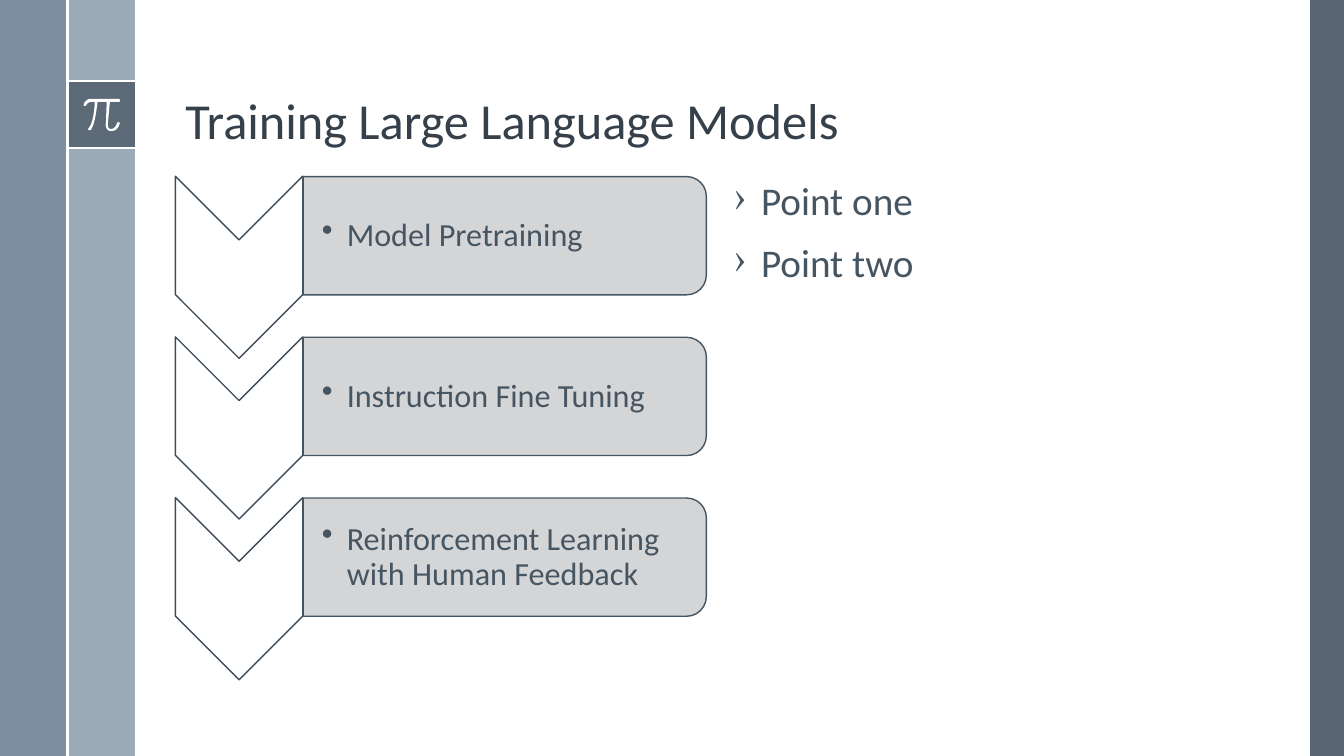
"""Build the slide on the three stages of training large language models."""
import pptx
import pptx.dml.color
import pptx.enum.shapes
import pptx.enum.text
import pptx.oxml
import pptx.oxml.ns
import pptx.util

Cm, Pt, qn = pptx.util.Cm, pptx.util.Pt, pptx.oxml.ns.qn
SHAPE = pptx.enum.shapes.MSO_SHAPE
ANCHOR = pptx.enum.text.MSO_ANCHOR
SLATE, INK, WHITE = "475562", "465562", "FFFFFF"


def paint(fill, colour, opacity=100):
    fill.solid()
    fill.fore_color.rgb = pptx.dml.color.RGBColor.from_string(colour)
    if opacity < 100:
        alpha = pptx.oxml.parse_xml(
            '<a:alpha xmlns:a="http://schemas.openxmlformats.org/drawingml/2006/main" '
            f'val="{opacity * 1000}"/>')
        fill._xPr.find(qn("a:solidFill"))[0].append(alpha)


def write(frame, lines, size, colour, anchor=ANCHOR.TOP, bullet=None, indent=0,
          before=0, margins=(0.25, 0.13, 0.25, 0.13)):
    frame.word_wrap = True
    frame.auto_size = pptx.enum.text.MSO_AUTO_SIZE.NONE
    frame.vertical_anchor = anchor
    (frame.margin_left, frame.margin_top,
     frame.margin_right, frame.margin_bottom) = map(Cm, margins)
    for number, line in enumerate(lines):
        paragraph = frame.add_paragraph() if number else frame.paragraphs[0]
        paragraph.alignment = pptx.enum.text.PP_ALIGN.LEFT
        paragraph.line_spacing = 0.9
        paragraph.space_before = Pt(before)
        run = paragraph.add_run()
        run.text = line
        run.font.name = "Calibri"
        run.font.size = Pt(size)
        paint(run.font.fill, colour)
        if bullet:
            properties = paragraph._p.get_or_add_pPr()
            properties.set("marL", str(Cm(indent)))
            properties.set("indent", str(-Cm(indent)))
            mark = properties.makeelement(qn("a:buChar"), {"char": bullet})
            properties.append(mark)


deck = pptx.Presentation()
deck.slide_width, deck.slide_height = Cm(33.87), Cm(19.05)
slide = deck.slides.add_slide(deck.slide_layouts[5])
shapes = slide.shapes

# name: preset, left, top, width, height, fill, opacity, outline, rotation
pieces = [
    (SHAPE.RECTANGLE, 33.02, 0, 0.85, 19.05, SLATE, 90, None, 0),
    (SHAPE.RECTANGLE, 1.7, 0, 1.7, 19.05, "9BAAB7", 100, None, 0),
    (SHAPE.RECTANGLE, 0, 0, 1.7, 19.05, "6A8093", 88, None, 0),
    (SHAPE.RECTANGLE, 1.7, 2.05, 1.7, 1.7, SLATE, 75, None, 0),
]
stages = ["Model Pretraining", "Instruction Fine Tuning",
          "Reinforcement Learning with Human Feedback"]
pitch = 4.05
for row in range(len(stages)):
    drop = row * pitch
    pieces += [
        (SHAPE.CHEVRON, 3.73, 5.13 + drop, 4.59, 3.21, WHITE, 100, "404D59", 90),
        (SHAPE.ROUND_2_SAME_RECTANGLE, 11.23, 0.86 + drop, 2.98, 10.16,
         "CFD1D3", 90, INK, 90),
    ]

for preset, left, top, width, height, colour, opacity, outline, turn in pieces:
    piece = shapes.add_shape(preset, Cm(left), Cm(top), Cm(width), Cm(height))
    piece.shadow.inherit = False
    piece.rotation = turn
    paint(piece.fill, colour, opacity)
    if outline:
        paint(piece.line.fill, outline)
        piece.line.width = Pt(1)
    else:
        piece.line.fill.background()

for x1, y1, x2, y2 in [(1.7, 2.05, 3.4, 2.05), (1.7, 3.74, 3.4, 3.74),
                       (1.7, 0, 1.7, 19.05)]:
    rule = shapes.add_connector(pptx.enum.shapes.MSO_CONNECTOR.STRAIGHT,
                                Cm(x1), Cm(y1), Cm(x2), Cm(y2))
    paint(rule.line.fill, WHITE)
    rule.line.width = Pt(1.5)
    properties = rule._element.spPr
    properties.append(properties.makeelement(qn("a:effectLst"), {}))

pi_start = (3, 2.49)
pi_curves = [
    [(2.29, 2.49)],
    [(2.16, 2.49), (2.11, 2.62), (2.11, 2.64)],
    [(2.11, 2.65), (2.11, 2.67), (2.13, 2.67)],
    [(2.16, 2.67)],
    [(2.16, 2.67), (2.21, 2.57), (2.29, 2.57)],
    [(2.39, 2.57)],
    [(2.39, 2.67), (2.36, 3.1), (2.24, 3.23)],
    [(2.21, 3.25), (2.21, 3.26), (2.24, 3.28)],
    [(2.29, 3.28)],
    [(2.41, 3.12), (2.44, 2.67), (2.46, 2.57)],
    [(2.69, 2.57)],
    [(2.67, 3.1)],
    [(2.67, 3.1), (2.64, 3.2), (2.72, 3.28)],
    [(2.74, 3.3), (2.77, 3.3), (2.84, 3.3)],
    [(2.97, 3.3), (3.02, 3.12), (3.02, 3.1)],
    [(3.02, 3.08), (2.96, 3.07), (2.95, 3.1)],
    [(2.95, 3.1), (2.92, 3.23), (2.82, 3.25)],
    [(2.79, 3.25), (2.77, 3.25), (2.74, 3.23)],
    [(2.72, 3.2), (2.72, 3.12), (2.72, 3.1)],
    [(2.77, 2.57)],
    [(3, 2.57)],
    [(3.02, 2.57), (3.02, 2.55), (3.02, 2.54)],
    [(3.02, 2.51), (3.02, 2.49), (3, 2.49)],
]
pi_outline, pen = [], pi_start
for curve in pi_curves:
    if len(curve) == 3:
        for t in (0.2, 0.4, 0.6, 0.8):
            weights = ((1 - t) ** 3, 3 * t * (1 - t) ** 2, 3 * t * t * (1 - t), t ** 3)
            pi_outline.append([sum(w * point[axis] for w, point in
                                   zip(weights, [pen, *curve])) for axis in (0, 1)])
    pen = curve[-1]
    pi_outline.append(pen)
builder = shapes.build_freeform(Cm(pi_start[0]), Cm(pi_start[1]))
builder.add_line_segments([(Cm(x), Cm(y)) for x, y in pi_outline], close=True)
pi_sign = builder.convert_to_shape()
pi_sign.shadow.inherit = False
paint(pi_sign.fill, WHITE)
pi_sign.line.fill.background()

heading = shapes.title
heading.left, heading.top, heading.width, heading.height = map(
    Cm, (4.42, 0.48, 27.18, 3.45))
write(heading.text_frame, ["Training Large Language Models"], size=36,
      colour="35404A", anchor=ANCHOR.BOTTOM)

for row, stage in enumerate(stages):
    label = shapes.add_textbox(Cm(7.65), Cm(4.6 + row * pitch), Cm(10), Cm(2.69))
    write(label.text_frame, [stage], size=23, colour=INK, anchor=ANCHOR.MIDDLE,
          bullet="•", indent=0.63, margins=(0.46, 0.05, 0.05, 0.05))

points = shapes.add_textbox(Cm(18.24), Cm(4.45), Cm(13.39), Cm(12.7))
write(points.text_frame, ["Point one", "Point two"], size=28, colour=INK,
      bullet="›", indent=0.69, before=14)

deck.save("out.pptx")
